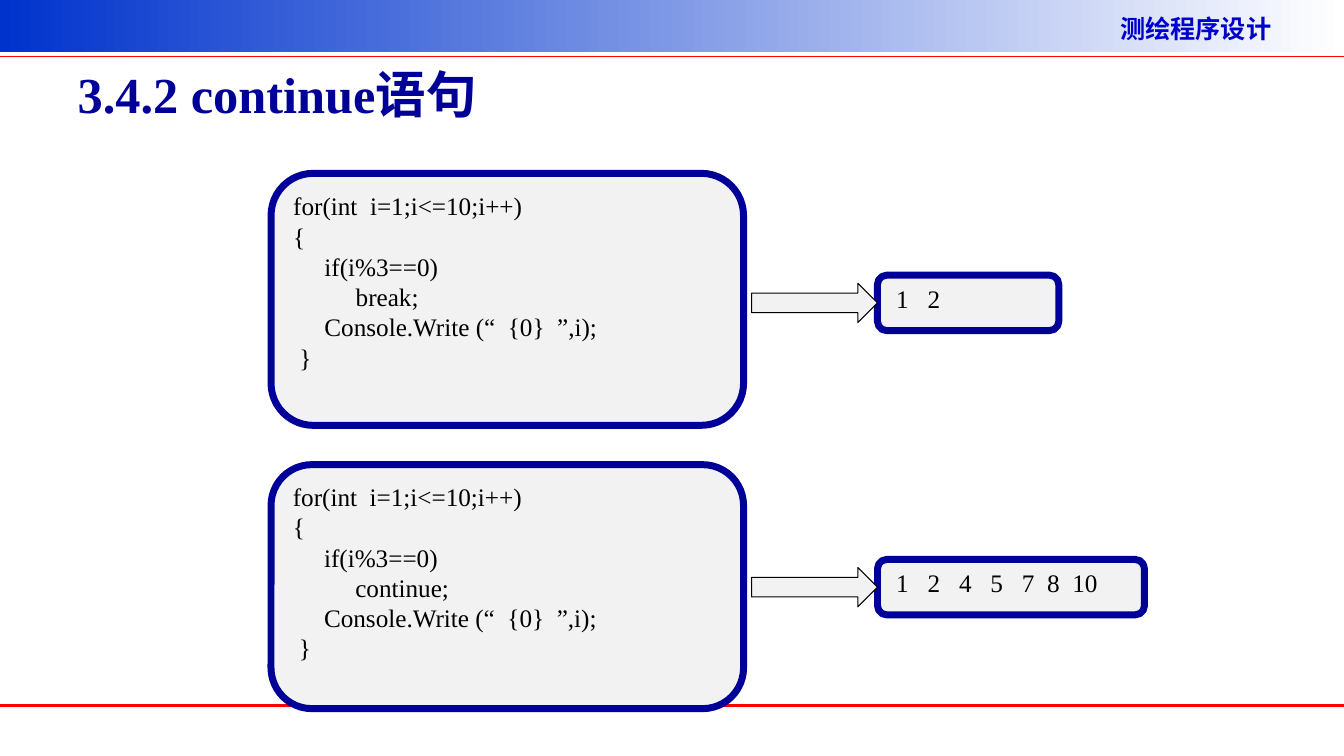
from pptx import Presentation
from pptx.dml.color import RGBColor
from pptx.enum.shapes import MSO_CONNECTOR, MSO_SHAPE
from pptx.enum.text import MSO_ANCHOR, PP_ALIGN
from pptx.oxml.xmlchemy import OxmlElement
from pptx.util import Pt

RECT, ROUNDED, ARROW = MSO_SHAPE.RECTANGLE, MSO_SHAPE.ROUNDED_RECTANGLE, MSO_SHAPE.RIGHT_ARROW
STRAIGHT = MSO_CONNECTOR.STRAIGHT
TOP, MIDDLE = MSO_ANCHOR.TOP, MSO_ANCHOR.MIDDLE
LEFT = PP_ALIGN.LEFT

NAVY = RGBColor(0x00, 0x00, 0x99)
BLUE = RGBColor(0x00, 0x00, 0xCC)
ROYAL = RGBColor(0x00, 0x33, 0xCC)
RED = RGBColor(0xFF, 0x00, 0x00)
GREY = RGBColor(0xF2, 0xF2, 0xF2)
BLACK = RGBColor(0x00, 0x00, 0x00)
WHITE = RGBColor(0xFF, 0xFF, 0xFF)
LATIN, CJK = "Times New Roman", "Noto Sans CJK SC"

COURSE = "测绘程序设计"
TITLE = "3.4.2 continue语句"
# jump statement, code top and height, output text, output top and width
EXAMPLES = [
    ("break;", 172, 250, "1   2", 273, 180),
    ("continue;", 461, 242, "1   2   4   5   7  8  10", 555, 265),
]
RULES = [(56, 1), (700, 2.25)]  # y, weight in points

PX = 9144  # 100 px to the inch
WIDTH, HEIGHT = 1334, 750
CODE_X, CODE_W = 269, 469
ARROW_X, ARROW_W, ARROW_H = 746, 125, 39
OUTPUT_X, OUTPUT_H = ARROW_X + ARROW_W, 55
SPACE, STEP = 6, 31  # indents of one space and of one code level


def code_lines(jump):
    """Return the loop as (indent, text) pairs."""
    return [
        (0, "for(int  i=1;i<=10;i++)"),
        (0, "{"),
        (STEP, "if(i%3==0)"),
        (2 * STEP, jump),
        (STEP, "Console.Write (“  {0}  ”,i);"),
        (SPACE, "}"),
    ]


def px(*lengths):
    return [n * PX for n in lengths]


def write(tf, lines, size, color, font=LATIN, bold=False, anchor=TOP):
    """Fill a text frame with (indent, text) lines."""
    tf.word_wrap = True
    tf.vertical_anchor = anchor
    tf.text = "\n".join(text for _, text in lines)
    for p, (indent, _) in zip(tf.paragraphs, lines):
        p.alignment = LEFT
        p._p.get_or_add_pPr().set("marL", str(indent * PX))
        for r in p.runs:
            r.font.name, r.font.size, r.font.bold = font, Pt(size), bold
            r.font.color.rgb = color
            ea = OxmlElement("a:ea")
            ea.set("typeface", CJK)
            r.font._element.find(
                "{http://schemas.openxmlformats.org/drawingml/2006/main}latin"
            ).addnext(ea)


def add_shape(s, kind, box, line, weight):
    sp = s.shapes.add_shape(kind, *px(*box))
    sp.shadow.inherit = False
    sp.fill.solid()
    sp.fill.fore_color.rgb = GREY
    sp.line.color.rgb = line
    sp.line.width = Pt(weight)
    return sp


def add_header(s):
    band = s.shapes.add_shape(RECT, *px(0, 0, WIDTH, 52))
    band.shadow.inherit = False
    band.line.fill.background()
    band.fill.gradient()
    band.fill.gradient_angle = 0
    for stop, position, color in zip(band.fill.gradient_stops, (0, 1), (ROYAL, WHITE)):
        stop.position = position
        stop.color.rgb = color
    course = s.shapes.add_textbox(*px(1102, 8, 230, 40))
    write(course.text_frame, [(0, COURSE)], 18, BLUE, CJK, bold=True)


def add_rule(s, y, weight):
    rule = s.shapes.add_connector(STRAIGHT, *px(0, y, WIDTH, y))
    rule.line.color.rgb = RED
    rule.line.width = Pt(weight)
    rule._element.spPr.append(OxmlElement("a:effectLst"))


def add_box(s, box, lines):
    sp = add_shape(s, ROUNDED, box, NAVY, 5)
    sp.adjustments[0] = 0.167
    write(sp.text_frame, lines, 18, BLACK)


def main():
    prs = Presentation()
    prs.slide_width, prs.slide_height = px(WIDTH, HEIGHT)
    s = prs.slides.add_slide(prs.slide_layouts[5])
    add_header(s)
    for y, weight in RULES:
        add_rule(s, y, weight)

    title = s.shapes.title
    title.left, title.top, title.width, title.height = px(67, 30, 1200, 125)
    write(title.text_frame, [(0, TITLE)], 36, NAVY, bold=True, anchor=MIDDLE)

    for jump, code_y, code_h, output, output_y, output_w in EXAMPLES:
        add_box(s, (CODE_X, code_y, CODE_W, code_h), code_lines(jump))
        add_box(s, (OUTPUT_X, output_y, output_w, OUTPUT_H), [(SPACE, output)])
        arrow_y = output_y + (OUTPUT_H - ARROW_H) // 2
        add_shape(s, ARROW, (ARROW_X, arrow_y, ARROW_W, ARROW_H), BLACK, 0.75)

    prs.save("out.pptx")


if __name__ == "__main__":
    main()
